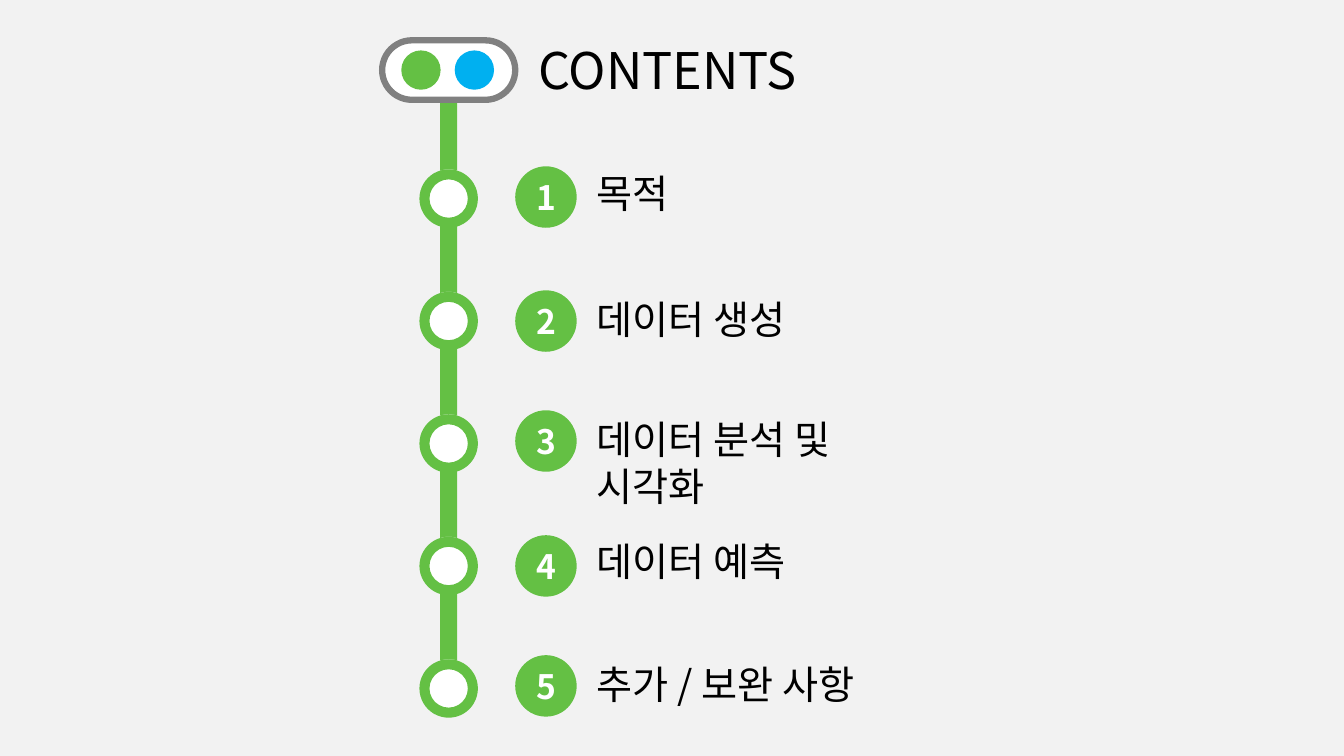
import pptx
import pptx.util
import pptx.dml.color
import pptx.enum.shapes
import pptx.enum.text
import pptx.oxml.ns
import lxml.etree

Inches = pptx.util.Inches
SHAPE = pptx.enum.shapes.MSO_SHAPE
ALIGN = pptx.enum.text.PP_ALIGN
ANCHOR = pptx.enum.text.MSO_ANCHOR
FONT = "Noto Sans CJK KR"
GREEN, WHITE, BLACK, BLUE, GRAY = "64C044", "FFFFFF", "000000", "00B0F0", "808080"
RING, HOLE, BADGE, RAIL = 0.58, 0.52, 0.61, 0.17
ITEMS = [
    ("목적", 1.65, 1.63, 2.78),
    ("데이터 생성", 2.88, 2.88, 3.74),
    ("데이터 분석 및 시각화", 4.07, 4.07, 3.59),
    ("데이터 예측", 5.31, 5.28, 2.97),
    ("추가 / 보완 사항", 6.5, 6.5, 2.97),
]


def rgb(color):
    return pptx.dml.color.RGBColor.from_string(color)


def add_shape(shapes, kind, box, fill, line=None, adj=None):
    sp = shapes.add_shape(kind, *map(Inches, box))
    sp.shadow.inherit = False
    sp.fill.solid()
    sp.fill.fore_color.rgb = rgb(fill)
    if line:
        sp.line.color.rgb = rgb(line)
        sp.line.width = pptx.util.Pt(4.5)
    else:
        sp.line.fill.background()
    if adj is not None:
        sp.adjustments[0] = adj
    return sp


def write(sp, text, size, color, align=None, bold=None):
    p = sp.text_frame.paragraphs[0]
    p.alignment = align
    r = p.add_run()
    r.text = text
    formats = {"name": FONT, "size": pptx.util.Pt(size), "bold": bold}
    for key, value in formats.items():
        setattr(r.font, key, value)
    r.font.color.rgb = rgb(color)
    ea = lxml.etree.SubElement(r.font._element, pptx.oxml.ns.qn("a:ea"))
    ea.set("typeface", FONT)


def add_text(shapes, box, text, size, align=None):
    sp = shapes.add_textbox(*map(Inches, box))
    tf = sp.text_frame
    tf.word_wrap = True
    tf.auto_size = pptx.enum.text.MSO_AUTO_SIZE.SHAPE_TO_FIT_TEXT
    write(sp, text, size, BLACK, align)


def add_header(slide, x, y, w, h):
    add_shape(slide.shapes, SHAPE.ROUNDED_RECTANGLE, (x, y, w, h), WHITE, GRAY, 0.5)
    for dx, color in ((0.19, GREEN), (0.72, BLUE)):
        add_shape(slide.shapes, SHAPE.OVAL, (x + dx, y + 0.1, 0.39, 0.39), color)
    add_text(slide.shapes, (x + w + 0.13, y - 0.06, 3.99, 0.71), "CONTENTS", 36, ALIGN.JUSTIFY)


def add_line(slide, x, y, top, pitch, count):
    rings = [top + i * pitch for i in range(count)]
    starts = [y] + [ring + RING / 2 for ring in rings]
    for start, ring in zip(starts, rings):
        box = (x + (RING - RAIL) / 2, start, RAIL, ring + RING / 2 - start)
        add_shape(slide.shapes, SHAPE.RECTANGLE, box, GREEN)
    for ring in rings:
        group = slide.shapes.add_group_shape()
        add_shape(group.shapes, SHAPE.OVAL, (x + (RING - HOLE) / 2, ring, HOLE, HOLE), WHITE)
        add_shape(group.shapes, SHAPE.DONUT, (x, ring, RING, RING), GREEN, adj=0.172)


def add_item(slide, x, number, text, badge_y, text_y, width):
    sp = add_shape(slide.shapes, SHAPE.OVAL, (x, badge_y, BADGE, BADGE), GREEN)
    sp.text_frame.vertical_anchor = ANCHOR.MIDDLE
    write(sp, str(number), 24, WHITE, ALIGN.CENTER, True)
    add_text(slide.shapes, (x + BADGE + 0.1, text_y, width, 0.57), text, 28)


def main():
    prs = pptx.Presentation()
    prs.slide_width, prs.slide_height = Inches(13.33), Inches(7.5)
    slide = prs.slides.add_slide(prs.slide_layouts[6])
    slide.background.fill.solid()
    slide.background.fill.fore_color.rgb = rgb("F2F2F2")
    add_line(slide, 4.16, 0.99, 1.68, 1.215, len(ITEMS))
    add_header(slide, 3.79, 0.4, 1.32, 0.59)
    for number, item in enumerate(ITEMS, 1):
        add_item(slide, 5.11, number, *item)
    prs.save("out.pptx")


if __name__ == "__main__":
    main()
